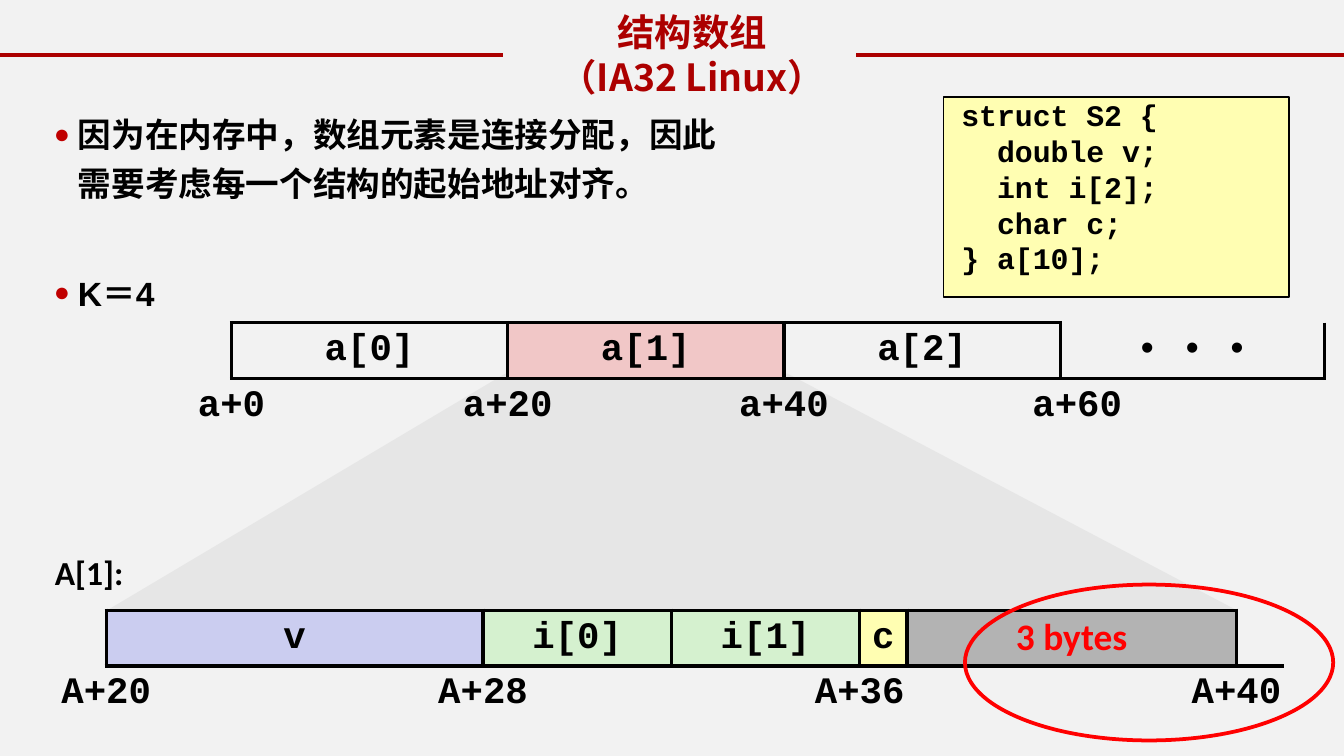
from lxml.etree import SubElement
from pptx import Presentation
from pptx.dml.color import RGBColor
from pptx.enum.shapes import MSO_CONNECTOR, MSO_SHAPE
from pptx.enum.text import MSO_ANCHOR, MSO_AUTO_SIZE, PP_ALIGN
from pptx.oxml.ns import qn
from pptx.util import Inches, Pt

COLORS = {
    "background": "F2F2F2", "title": "AC0000", "bullet": "C00000", "text": "000000",
    "beam": "E6E6E6", "pink": "F1C7C7", "blue": "CBCDF0", "green": "D5F1CF",
    "yellow": "FFFEB2", "padding": "B3B3B3", "highlight": "FF0000",
}
CJK = "Noto Sans CJK SC"
NO_STYLE = "{2D5ABB26-0587-4C30-8999-92F81FD0307C}"


def rgb(name):
    return RGBColor.from_string(COLORS[name])


def style_text(frame, font, size, color="text", align=PP_ALIGN.LEFT, bold=True):
    """Format every run of a text frame, with one font for Chinese text."""
    for paragraph in frame.paragraphs:
        paragraph.alignment = align
        for run in paragraph.runs:
            run.font.name, run.font.size, run.font.bold = font, Pt(size), bold
            run.font.color.rgb = rgb(color)
            SubElement(run._r.get_or_add_rPr(), qn("a:ea"), typeface=CJK)


prs = Presentation()
prs.slide_width = Inches(10)
prs.slide_height = prs.slide_width * 9 // 16
slide = prs.slides.add_slide(prs.slide_layouts[1])
shapes = slide.shapes
slide.background.fill.solid()
slide.background.fill.fore_color.rgb = rgb("background")

# Beam from a[1] down to its enlarged layout
builder = shapes.build_freeform(Inches(3.76), Inches(2.78))
builder.add_line_segments(
    [(Inches(x), Inches(y)) for x, y in [(0.8, 4.54), (9.2, 4.54), (5.86, 2.78)]])
beam = builder.convert_to_shape()
beam.shadow.inherit = False
beam.fill.solid()
beam.fill.fore_color.rgb = rgb("beam")
beam.line.fill.background()

# Title between two rules
for start, end in [(0, 3.74), (6.37, 10)]:
    rule = shapes.add_connector(
        MSO_CONNECTOR.STRAIGHT, Inches(start), Inches(0.41), Inches(end), Inches(0.41))
    rule.line.color.rgb = rgb("title")
    rule.line.width = Pt(1.75)
    SubElement(rule._element.spPr, qn("a:effectLst"))

title = shapes.title
title.left, title.top, title.width, title.height = map(Inches, (3.38, 0.02, 3.54, 0.77))
title.text_frame.text = "结构数组\n（IA32 Linux）"
title.text_frame.vertical_anchor = MSO_ANCHOR.TOP
title.text_frame.auto_size = MSO_AUTO_SIZE.NONE
style_text(title.text_frame, CJK, 20, "title", PP_ALIGN.CENTER)

# Bullets
body = slide.placeholders[1]
body.left, body.top, body.width, body.height = map(Inches, (0.3, 0.74, 5.28, 1.07))
body.text_frame.text = (
    "因为在内存中，数组元素是连接分配，因此需要考虑每一个结构的起始地址对齐。\nK＝4")
body.text_frame.auto_size = MSO_AUTO_SIZE.NONE
for paragraph, space_before in zip(body.text_frame.paragraphs, (0, 33)):
    paragraph.line_spacing = 1.2
    paragraph.space_before = Pt(space_before)
    pPr = paragraph._p.get_or_add_pPr()
    pPr.set("marL", str(Inches(0.18)))
    pPr.set("indent", str(Inches(-0.18)))
    bullet_color = SubElement(pPr, qn("a:buClr"))
    SubElement(bullet_color, qn("a:srgbClr"), val=COLORS["bullet"])
    SubElement(pPr, qn("a:buSzPct"), val="80000")
    SubElement(pPr, qn("a:buChar"), char="●")
style_text(body.text_frame, "Arial", 18)

# Struct declaration
code = shapes.add_shape(
    MSO_SHAPE.RECTANGLE, Inches(7.02), Inches(0.72), Inches(2.57), Inches(1.49))
code.shadow.inherit = False
code.fill.solid()
code.fill.fore_color.rgb = rgb("yellow")
code.line.color.rgb = rgb("text")
code.line.width = Pt(1)
frame = code.text_frame
frame.margin_left = frame.margin_top = frame.margin_right = frame.margin_bottom = 0
frame.vertical_anchor = MSO_ANCHOR.TOP
frame.text = " struct S2 {\n   double v;\n   int i[2];\n   char c;\n } a[10];"
style_text(frame, "Courier New", 16)

# Memory layouts: fields are (text, first column, last column, fill, sides drawn),
# addresses are (text, first of two columns)
array_widths = [0.34] * 22
for column in (4, 7, 14):
    array_widths[column] = 0.68
array_widths[16] = 0.59
element_widths = [0.35] * 25
element_widths[4] = 0.7
layouts = [
    (1.38, 2.4, 8.82, array_widths,
     [("a[0]", 1, 5, None, "LRTB"), ("a[1]", 6, 10, "pink", "LRTB"),
      ("a[2]", 11, 15, None, "LRTB"), ("• • •", 16, 20, None, "LB")],
     [("a+0", 0), ("a+20", 5), ("a+40", 10), ("a+60", 15)]),
    (0.44, 4.54, 9.12, element_widths,
     [("v", 1, 7, "blue", "LRTB"), ("i[0]", 8, 11, "green", "LRTB"),
      ("i[1]", 12, 15, "green", "LRTB"), ("c", 16, 16, "yellow", "LRTB"),
      ("3 bytes", 17, 23, "padding", "LRTB"), ("", 24, 24, None, "LB")],
     [("A+20", 0), ("A+28", 7), ("A+36", 15), ("A+40", 23)]),
]
for left, top, width, widths, fields, addresses in layouts:
    table = shapes.add_table(
        2, len(widths), Inches(left), Inches(top), Inches(width), Inches(0.83)).table
    table.first_row = table.horz_banding = False
    table._tbl.tblPr.find(qn("a:tableStyleId")).text = NO_STYLE
    for column, share in zip(table.columns, widths):
        column.width = Inches(width * share / sum(widths))
    for cell in table.iter_cells():
        cell.margin_left = cell.margin_right = cell.margin_top = cell.margin_bottom = 0
        cell.vertical_anchor = MSO_ANCHOR.MIDDLE

    for text, first, last, fill, sides in fields:
        for index in range(first, last + 1):
            tcPr = table.cell(0, index)._tc.get_or_add_tcPr()
            for side in "LRTB":
                if (side == "L" and index > first) or (side == "R" and index < last):
                    continue
                border = SubElement(tcPr, qn(f"a:ln{side}"), w=str(Pt(2)))
                if side in sides:
                    paint = SubElement(border, qn("a:solidFill"))
                    SubElement(paint, qn("a:srgbClr"), val=COLORS["text"])
                else:
                    SubElement(border, qn("a:noFill"))
        cell = table.cell(0, first)
        if last > first:
            cell.merge(table.cell(0, last))
        if fill:
            cell.fill.solid()
            cell.fill.fore_color.rgb = rgb(fill)
        cell.text_frame.text = text
        is_padding = fill == "padding"
        style_text(cell.text_frame, "Calibri" if is_padding else "Courier New", 20,
                   "highlight" if is_padding else "text", PP_ALIGN.CENTER, text != "• • •")

    for text, first in addresses:
        cell = table.cell(1, first)
        cell.merge(table.cell(1, first + 1))
        cell.text_frame.text = text
        style_text(cell.text_frame, "Courier New", 20, align=PP_ALIGN.CENTER)

# Label and highlight of the padding bytes
label = shapes.add_textbox(Inches(0.31), Inches(4.06), Inches(1.72), Inches(0.51))
label.text_frame.word_wrap = True
label.text_frame.text = "A[1]:"
style_text(label.text_frame, "Calibri", 18)

ring = shapes.add_shape(
    MSO_SHAPE.OVAL, Inches(7.18), Inches(4.35), Inches(2.74), Inches(1.16))
ring.shadow.inherit = False
ring.fill.background()
ring.line.color.rgb = rgb("highlight")
ring.line.width = Pt(2)

prs.save("out.pptx")
